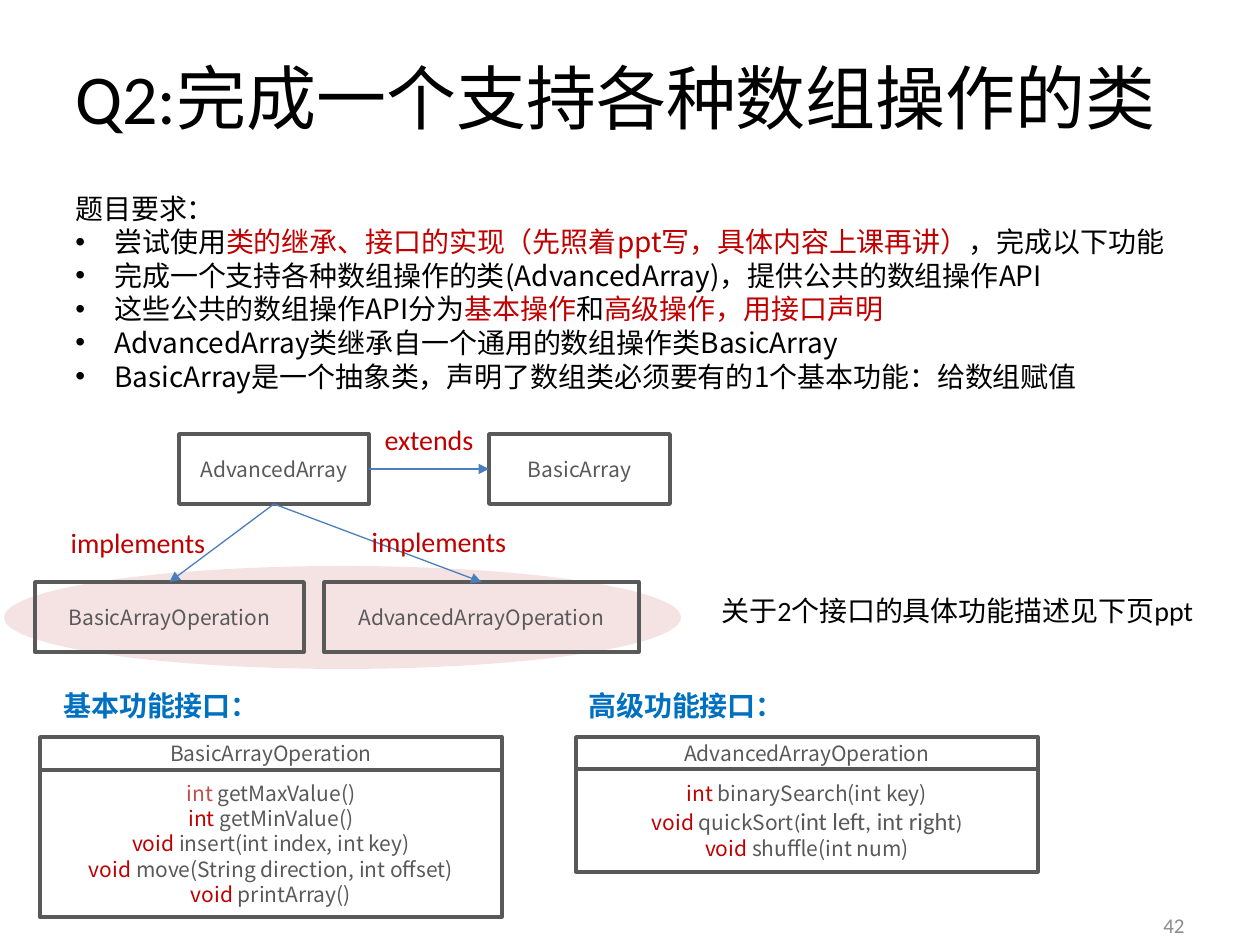
from typing import NamedTuple

import pptx
import pptx.dml.color
import pptx.enum.shapes
import pptx.enum.text
import pptx.oxml
import pptx.oxml.ns
import pptx.util

EMU_PER_PX = 914400 / 126
CALIBRI = "Calibri"
CJK = "Noto Sans CJK SC"
BLACK, RED, GREY, BLUE = "000000", "C00000", "595959", "0070C0"
ALIGN = pptx.enum.text.PP_ALIGN
ANCHOR = pptx.enum.text.MSO_ANCHOR
AUTO_SIZE = pptx.enum.text.MSO_AUTO_SIZE
SHAPE = pptx.enum.shapes.MSO_SHAPE


class Run(NamedTuple):
    text: str
    color: str = BLACK
    size: int = 16
    font: str = CJK
    bold: bool = False


class Box(NamedTuple):
    left: int
    top: int
    width: int
    height: int


class ClassBox(NamedTuple):
    name: str
    box: Box


class Arrow(NamedTuple):
    """An arrow between two class boxes, from one side to another."""
    start: str
    start_side: int
    end: str
    end_side: int


class Interface(NamedTuple):
    heading: str
    heading_left: int
    name: str
    name_box: Box
    methods_height: int
    methods: list[list[Run]]


def method(kind: str, signature: str, kind_color: str = RED) -> list[Run]:
    return [Run(kind + " ", kind_color, 12), Run(signature, GREY, 12)]


TITLE = Run("Q2:完成一个支持各种数组操作的类", size=40, font=CALIBRI)
REQUIREMENTS = [
    [Run("题目要求：")],
    [Run("尝试使用"),
     Run("类的继承、接口的实现（先照着ppt写，具体内容上课再讲）", RED),
     Run("，完成以下功能")],
    [Run("完成一个支持各种数组操作的类(AdvancedArray)，提供公共的数组操作API")],
    [Run("这些公共的数组操作API分为"), Run("基本操作", RED), Run("和"),
     Run("高级操作，用接口声明", RED)],
    [Run("AdvancedArray类继承自一个通用的数组操作类BasicArray")],
    [Run("BasicArray是一个抽象类，声明了数组类必须要有的1个基本功能：给数组赋值")],
]
CLASS_BOXES = [
    ClassBox("AdvancedArray", Box(179, 434, 190, 70)),
    ClassBox("BasicArray", Box(489, 434, 181, 70)),
    ClassBox("BasicArrayOperation", Box(35, 582, 269, 70)),
    ClassBox("AdvancedArrayOperation", Box(324, 582, 315, 70)),
]
ARROWS = [
    Arrow("AdvancedArray", 3, "BasicArray", 1),
    Arrow("AdvancedArray", 2, "BasicArrayOperation", 0),
    Arrow("AdvancedArray", 2, "AdvancedArrayOperation", 0),
]
ARROW_LABELS = [
    ("extends", Box(369, 416, 120, 37)),
    ("implements", Box(48, 519, 180, 37)),
    ("implements", Box(349, 518, 180, 37)),
]
INTERFACES = [
    Interface("基本功能接口：", 51, "BasicArrayOperation", Box(40, 737, 462, 33), 147, [
        method("int", "getMaxValue()", "C0504D"),
        method("int", "getMinValue()"),
        method("void", "insert(int index, int key)"),
        method("void", "move(String direction, int offset)"),
        method("void", "printArray()"),
    ]),
    Interface("高级功能接口：", 576, "AdvancedArrayOperation", Box(576, 737, 462, 32), 103, [
        method("int", "binarySearch(int key)"),
        method("void", "quickSort") + [
            Run("(", GREY, 12, CALIBRI),
            Run("int left, int right", GREY, 14, CALIBRI),
            Run(")", GREY, 12, CALIBRI),
        ],
        method("void", "shuffle(int num)"),
    ]),
]


def px(length: int) -> int:
    return round(length * EMU_PER_PX)


def rgb(color: str) -> pptx.dml.color.RGBColor:
    return pptx.dml.color.RGBColor.from_string(color)


def add_child(parent, tag: str, **attributes: str):
    child = pptx.oxml.parse_xml(f"<{tag} {pptx.oxml.ns.nsdecls('a')}/>")
    for name, value in attributes.items():
        child.set(name, value)
    parent.append(child)
    return child


def write(frame, paragraphs: list[list[Run]], align=ALIGN.LEFT,
          anchor=ANCHOR.TOP, first_bullet: int | None = None) -> None:
    """Fill a text frame, with bullets from paragraph first_bullet on."""
    frame.word_wrap = True
    frame.vertical_anchor = anchor
    for index, runs in enumerate(paragraphs):
        paragraph = frame.add_paragraph() if index else frame.paragraphs[0]
        paragraph.alignment = align
        if first_bullet is not None and index >= first_bullet:
            properties = paragraph._p.get_or_add_pPr()
            properties.set("marL", str(px(39)))
            properties.set("indent", str(px(-39)))
            add_child(properties, "a:buFont", typeface="Arial")
            add_child(properties, "a:buChar", char="•")
        for item in runs:
            run = paragraph.add_run()
            run.text = item.text
            run.font.size = pptx.util.Pt(item.size)
            run.font.bold = item.bold
            run.font.name = item.font
            run.font.color.rgb = rgb(item.color)
            add_child(run._r.get_or_add_rPr(), "a:ea", typeface=CJK)


def add_text(slide, box: Box, paragraphs: list[list[Run]], grow: bool = True, **layout) -> None:
    frame = slide.shapes.add_textbox(*map(px, box)).text_frame
    write(frame, paragraphs, **layout)
    frame.auto_size = AUTO_SIZE.SHAPE_TO_FIT_TEXT if grow else AUTO_SIZE.NONE


def add_outlined_box(slide, box: Box, paragraphs: list[list[Run]]):
    shape = slide.shapes.add_shape(SHAPE.RECTANGLE, *map(px, box))
    shape.shadow.inherit = False
    shape.fill.background()
    shape.line.color.rgb = rgb(GREY)
    shape.line.width = pptx.util.Pt(2)
    write(shape.text_frame, paragraphs, ALIGN.CENTER, ANCHOR.MIDDLE)
    return shape


def add_highlight(slide, box: Box) -> None:
    shape = slide.shapes.add_shape(SHAPE.OVAL, *map(px, box))
    shape.shadow.inherit = False
    shape.line.fill.background()
    shape.fill.solid()
    shape.fill.fore_color.rgb = rgb("F2DCDB")
    color = shape._element.spPr.find(".//" + pptx.oxml.ns.qn("a:srgbClr"))
    add_child(color, "a:alpha", val="78000")


def add_arrow(slide, arrow: Arrow, shapes: dict) -> None:
    connector = slide.shapes.add_connector(
        pptx.enum.shapes.MSO_CONNECTOR.STRAIGHT, 0, 0, 0, 0)
    connector.begin_connect(shapes[arrow.start], arrow.start_side)
    connector.end_connect(shapes[arrow.end], arrow.end_side)
    connector.line.color.rgb = rgb("4B7EBC")
    connector.line.width = pptx.util.Pt(0.75)
    add_child(connector.line._get_or_add_ln(), "a:tailEnd", type="triangle")
    add_child(connector._element.spPr, "a:effectLst")


def add_interface(slide, interface: Interface) -> None:
    left, top, width, height = interface.name_box
    add_outlined_box(slide, interface.name_box, [[Run(interface.name, GREY, 12)]])
    add_outlined_box(slide, Box(left, top + height, width, interface.methods_height),
                     interface.methods)
    add_text(slide, Box(interface.heading_left, 682, 277, 47),
             [[Run(interface.heading, BLUE, bold=True)]])


def main() -> None:
    presentation = pptx.Presentation()
    presentation.slide_width = px(1260)
    presentation.slide_height = px(945)
    slide = presentation.slides.add_slide(presentation.slide_layouts[6])

    add_highlight(slide, Box(4, 566, 677, 103))
    add_text(slide, Box(903, 903, 294, 44), [[Run("42", "8C8C8C", 12, CALIBRI)]],
             grow=False, align=ALIGN.RIGHT, anchor=ANCHOR.MIDDLE)
    add_text(slide, Box(63, 38, 1134, 117), [[TITLE]], grow=False, anchor=ANCHOR.MIDDLE)
    add_text(slide, Box(63, 185, 1182, 217), REQUIREMENTS, first_bullet=1)

    shapes = {item.name: add_outlined_box(slide, item.box, [[Run(item.name, GREY, 12)]])
              for item in CLASS_BOXES}
    for arrow in ARROWS:
        add_arrow(slide, arrow, shapes)
    for text, box in ARROW_LABELS:
        add_text(slide, box, [[Run(text, RED, font=CALIBRI)]], align=ALIGN.CENTER)
    for interface in INTERFACES:
        add_interface(slide, interface)
    add_text(slide, Box(709, 587, 550, 47),
             [[Run("关于2个接口的具体功能描述见下页ppt", font=CALIBRI)]])
    presentation.save("out.pptx")


if __name__ == "__main__":
    main()
